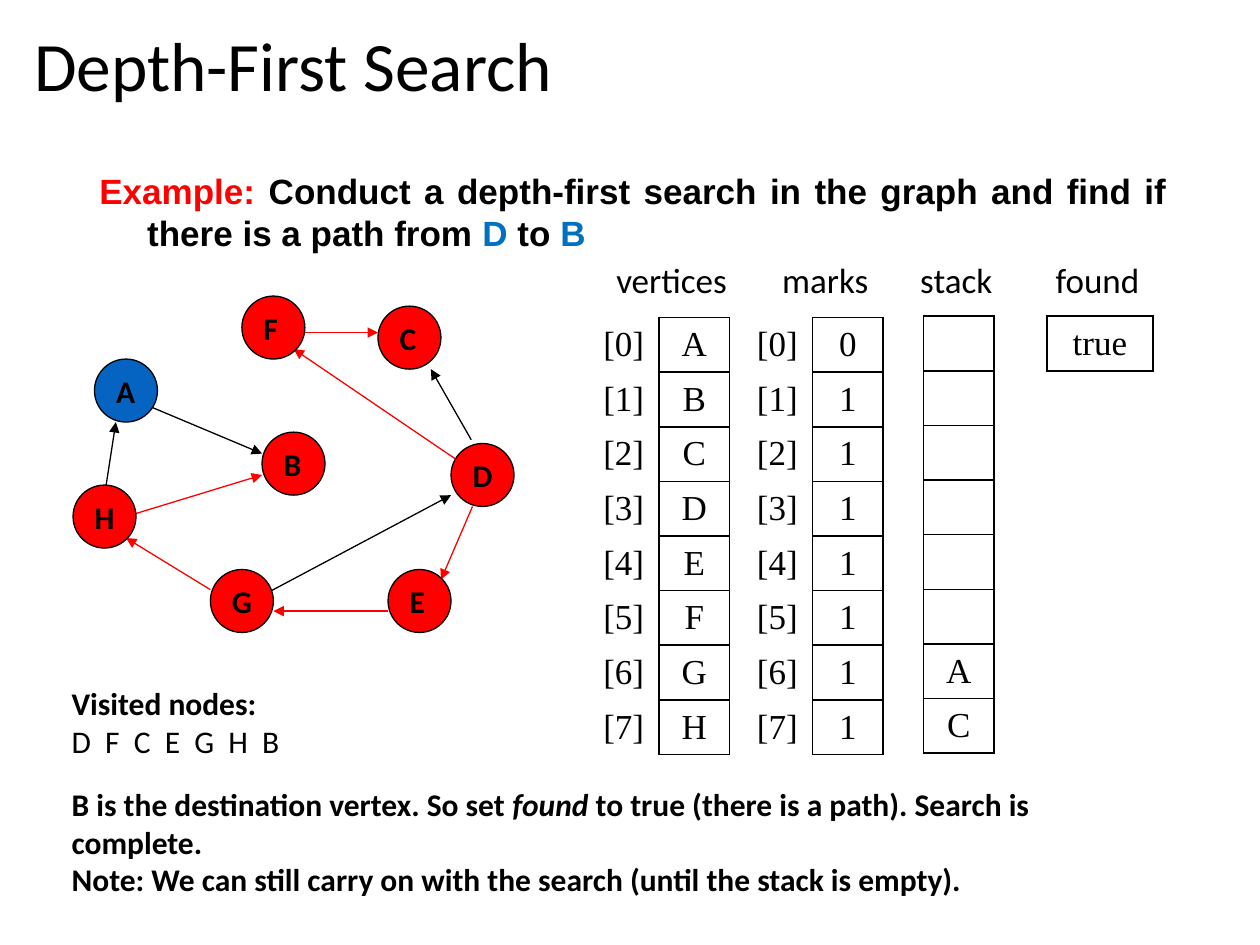
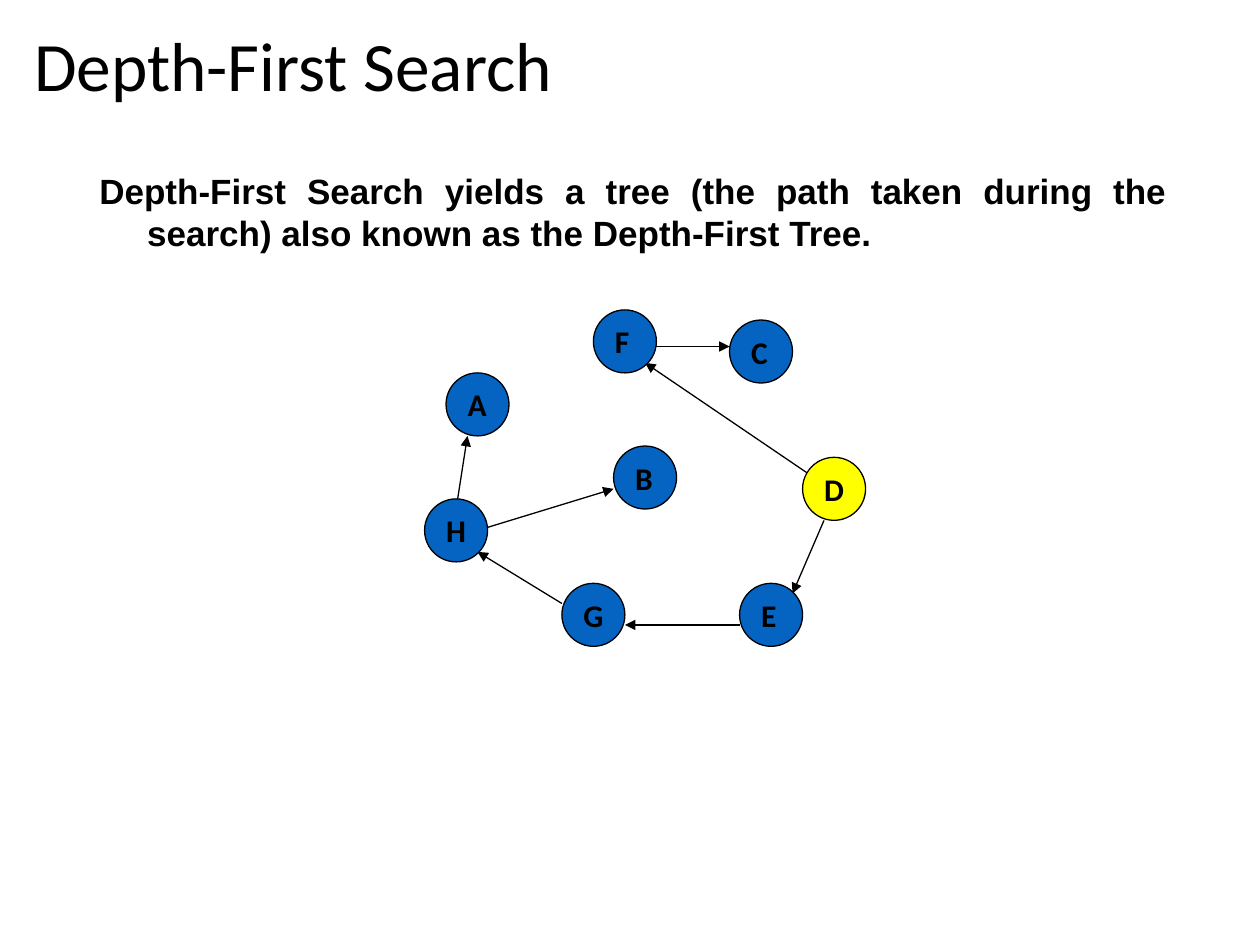
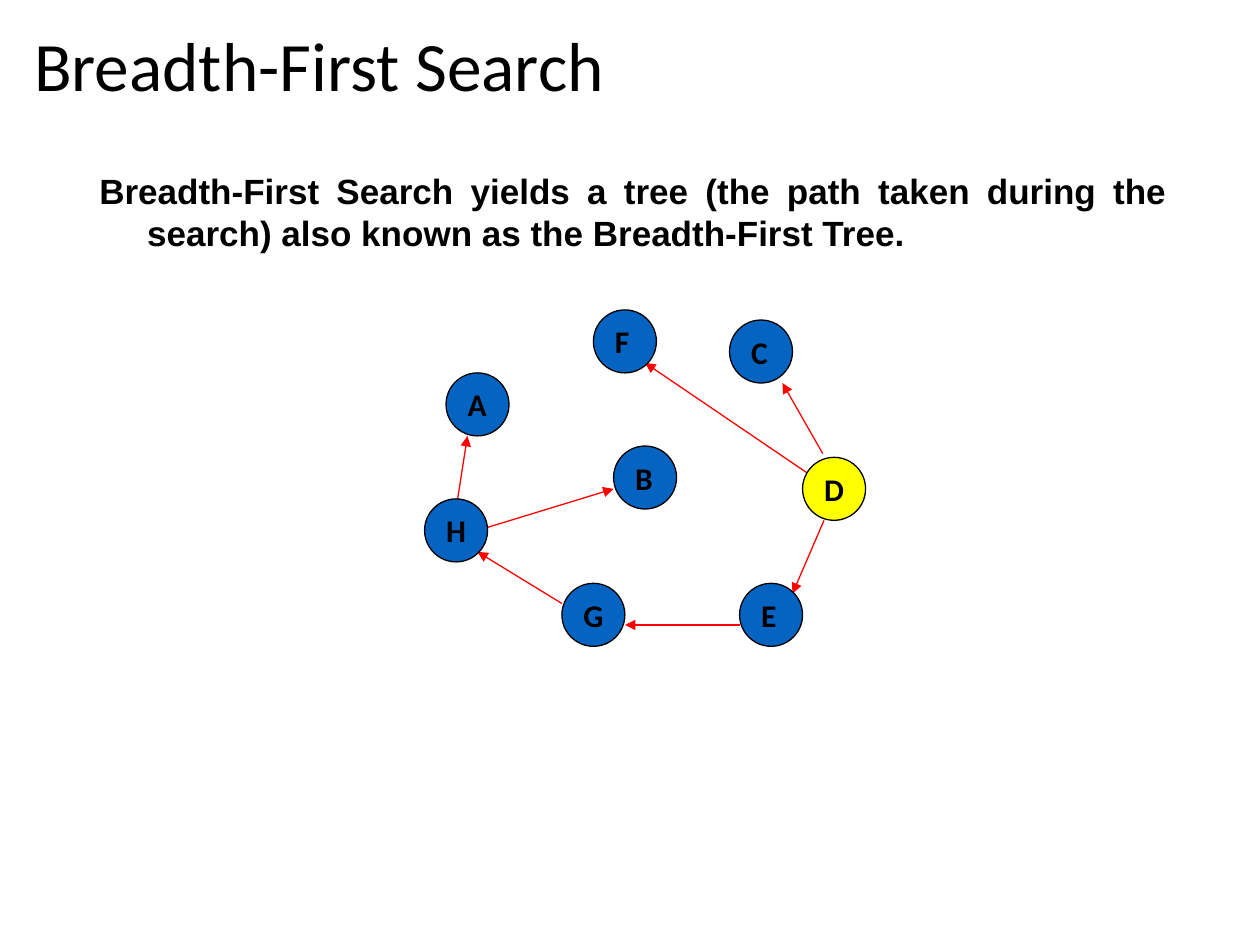
from pptx import Presentation
from pptx.dml.color import RGBColor
from pptx.enum.shapes import MSO_CONNECTOR, MSO_SHAPE
from pptx.enum.text import MSO_ANCHOR, MSO_AUTO_SIZE, PP_ALIGN
from pptx.oxml.ns import qn
from pptx.util import Inches, Pt
from lxml import etree

STRAIGHT = MSO_CONNECTOR.STRAIGHT
OVAL = MSO_SHAPE.OVAL
MIDDLE, TOP = MSO_ANCHOR.MIDDLE, MSO_ANCHOR.TOP
LEFT, CENTER, JUSTIFY = PP_ALIGN.LEFT, PP_ALIGN.CENTER, PP_ALIGN.JUSTIFY
NO_AUTOFIT = MSO_AUTO_SIZE.NONE

BLACK, RED, BLUE, YELLOW, LIGHT_BLUE = "000000", "FF0000", "0563C1", "FFFF00", "0070C0"
TITLE_ONLY_LAYOUT = 5
NODE_SIZE = 0.5
ROW_HEIGHT = 0.43375
CELL_WIDTH = 0.56
LINE_WIDTH = 0.75


def write_text(frame, paragraphs, size=18, font="Calibri", color=BLACK, bold=False,
               align=LEFT, anchor=TOP, wrap=True, spacing=None, hanging=0):
    """Each paragraph is a string or a list of (text, changes) runs."""
    frame.word_wrap = wrap
    frame.auto_size = NO_AUTOFIT
    frame.vertical_anchor = anchor
    for number, content in enumerate(paragraphs):
        paragraph = frame.paragraphs[0] if number == 0 else frame.add_paragraph()
        paragraph.alignment = align
        paragraph.line_spacing = spacing
        if hanging:
            properties = paragraph._p.get_or_add_pPr()
            properties.set("marL", str(Inches(hanging)))
            properties.set("indent", str(-Inches(hanging)))
        runs = [(content, {})] if isinstance(content, str) else content
        for text, changes in runs:
            run = paragraph.add_run()
            run.text = text
            run.font.name = font
            run.font.size = Pt(size)
            run.font.bold = changes.get("bold", bold)
            run.font.italic = changes.get("italic", False)
            run.font.color.rgb = RGBColor.from_string(changes.get("color", color))


def add_text(slide, left, top, width, height, paragraphs, **text_format):
    box = slide.shapes.add_textbox(Inches(left), Inches(top), Inches(width), Inches(height))
    write_text(box.text_frame, paragraphs, **text_format)


# The graph: left and top of each node, start and end of each edge
NODES = {"A": (0.75, 2.85), "H": (0.58, 3.85), "B": (2.08, 3.43), "F": (1.92, 2.35),
         "E": (3.08, 4.52), "D": (3.58, 3.52), "C": (3, 2.43), "G": (1.67, 4.52)}
EDGES = {
    "DF": (3.67, 3.68, 2.33, 2.77),
    "DE": (3.75, 4.02, 3.5, 4.6),
    "HB": (1, 4.1, 2.08, 3.77),
    "GD": (2, 4.77, 3.58, 3.93),
    "HA": (0.83, 3.93, 0.92, 3.35),
    "AB": (1.08, 3.18, 2.08, 3.6),
    "DC": (3.74, 3.49, 3.42, 2.93),
    "EG": (3.08, 4.85, 2.17, 4.85),
    "GH": (1.67, 4.68, 1, 4.27),
    "FC": (2.42, 2.64, 3, 2.64),
}

# What differs between the slides
TREE_OFFSET = (2.79, 0.11)
SLIDES = [
    {"title": "Depth-First Search",
     "body": [("Example: ", {"color": RED}),
              ("Conduct a depth-first search in the graph and find if there is a path from ", {}),
              ("D", {"color": LIGHT_BLUE}), (" to ", {}), ("B", {"color": LIGHT_BLUE})],
     "offset": (0, 0), "node_color": RED, "special_nodes": {"A": BLUE},
     "edges": {RED: ["DF", "DE", "HB", "EG", "GH", "FC"], BLACK: ["GD", "HA", "AB", "DC"]}},
    {"title": "Depth-First Search",
     "body": "Depth-First Search yields a tree (the path taken during the search) "
             "also known as the Depth-First Tree.",
     "offset": TREE_OFFSET, "node_color": BLUE, "special_nodes": {"D": YELLOW},
     "edges": {BLACK: ["DF", "DE", "HB", "HA", "EG", "GH", "FC"]}},
    {"title": "Breadth-First Search",
     "body": "Breadth-First Search yields a tree (the path taken during the search) "
             "also known as the Breadth-First Tree.",
     "offset": TREE_OFFSET, "node_color": BLUE, "special_nodes": {"D": YELLOW},
     "edges": {RED: ["DF", "DE", "HB", "HA", "DC", "EG", "GH"]}},
]

presentation = Presentation()
presentation.slide_width = Inches(10)
presentation.slide_height = Inches(7.5)
layout = presentation.slide_layouts[TITLE_ONLY_LAYOUT]

for content in SLIDES:
    slide = presentation.slides.add_slide(layout)

    # Title and body
    title = slide.shapes.title
    title.left, title.top = Inches(0.17), Inches(0.18)
    title.width, title.height = Inches(9.62), Inches(0.74)
    write_text(title.text_frame, [content["title"]], size=39.6, anchor=MIDDLE, spacing=0.9)
    add_text(slide, 0.69, 1.3, 8.67, 0.77, [content["body"]], size=20, font="Arial",
             bold=True, align=JUSTIFY, hanging=0.38)

    # Edges
    shift_x, shift_y = content["offset"]
    for color, names in content["edges"].items():
        for name in names:
            start_x, start_y, end_x, end_y = EDGES[name]
            edge = slide.shapes.add_connector(
                STRAIGHT, Inches(start_x + shift_x), Inches(start_y + shift_y),
                Inches(end_x + shift_x), Inches(end_y + shift_y))
            edge.line.color.rgb = RGBColor.from_string(color)
            edge.line.width = Pt(LINE_WIDTH)
            etree.SubElement(edge.line._get_or_add_ln(), qn("a:tailEnd"), type="triangle")
            etree.SubElement(edge._element.spPr, qn("a:effectLst"))

    # Nodes
    for name, (left, top) in NODES.items():
        node = slide.shapes.add_shape(OVAL, Inches(left + shift_x), Inches(top + shift_y),
                                      Inches(NODE_SIZE), Inches(NODE_SIZE))
        node.shadow.inherit = False
        node.fill.solid()
        fill = content["special_nodes"].get(name, content["node_color"])
        node.fill.fore_color.rgb = RGBColor.from_string(fill)
        node.line.color.rgb = RGBColor.from_string(BLACK)
        node.line.width = Pt(LINE_WIDTH)
        write_text(node.text_frame, [name], bold=True, anchor=MIDDLE, wrap=False)

# State of the search on the first slide: headings and tables
slide = presentation.slides[0]
for heading, left, width in [("vertices", 4.72, 1.22), ("marks", 6.04, 1.02),
                             ("stack", 7.08, 1.02), ("found", 8.2, 1.02)]:
    add_text(slide, left, 2, width, 0.43, [heading], size=20, align=CENTER)

indexes = [f"[{number}]" for number in range(8)]
TABLES = [
    (4.67, 2.52, CELL_WIDTH, list(zip(indexes, "ABCDEFGH"))),
    (5.89, 2.52, CELL_WIDTH, list(zip(indexes, "01111111"))),
    (7.33, 2.51, CELL_WIDTH, [("",)] * 6 + [("A",), ("C",)]),
    (8.31, 2.51, 0.84, [("true",)]),
]
for left, top, column_width, rows in TABLES:
    column_count = len(rows[0])
    table = slide.shapes.add_table(
        len(rows), column_count, Inches(left), Inches(top),
        Inches(column_width * column_count), Inches(ROW_HEIGHT * len(rows))).table
    table.first_row = table.horz_banding = False
    for column in table.columns:
        column.width = Inches(column_width)
    for row_number, values in enumerate(rows):
        table.rows[row_number].height = Inches(ROW_HEIGHT)
        for column_number, value in enumerate(values):
            cell = table.cell(row_number, column_number)
            cell.vertical_anchor = MIDDLE
            # The index column only shares the border on its right
            is_boxed = column_number == column_count - 1
            properties = cell._tc.get_or_add_tcPr()
            for side in ("lnL", "lnR", "lnT", "lnB"):
                border = etree.SubElement(properties, qn(f"a:{side}"), w=str(Pt(1)))
                if is_boxed or side == "lnR":
                    solid = etree.SubElement(border, qn("a:solidFill"))
                    etree.SubElement(solid, qn("a:srgbClr"), val=BLACK)
                else:
                    etree.SubElement(border, qn("a:noFill"))
            cell.fill.background()
            if value:
                write_text(cell.text_frame, [value], size=20, font="Times New Roman",
                           align=CENTER, anchor=MIDDLE)

# Notes below the graph
add_text(slide, 0.47, 5.38, 3.94, 0.71,
         [[("Visited nodes:", {"bold": True})], "D  F  C  E  G  H  B"])
add_text(slide, 0.47, 6.18, 8.78, 1.01,
         [[("B is the destination vertex. So set ", {}), ("found", {"italic": True}),
           (" to true (there is a path). Search is complete.", {})],
          "Note: We can still carry on with the search (until the stack is empty)."],
         bold=True)

presentation.save("out.pptx")
